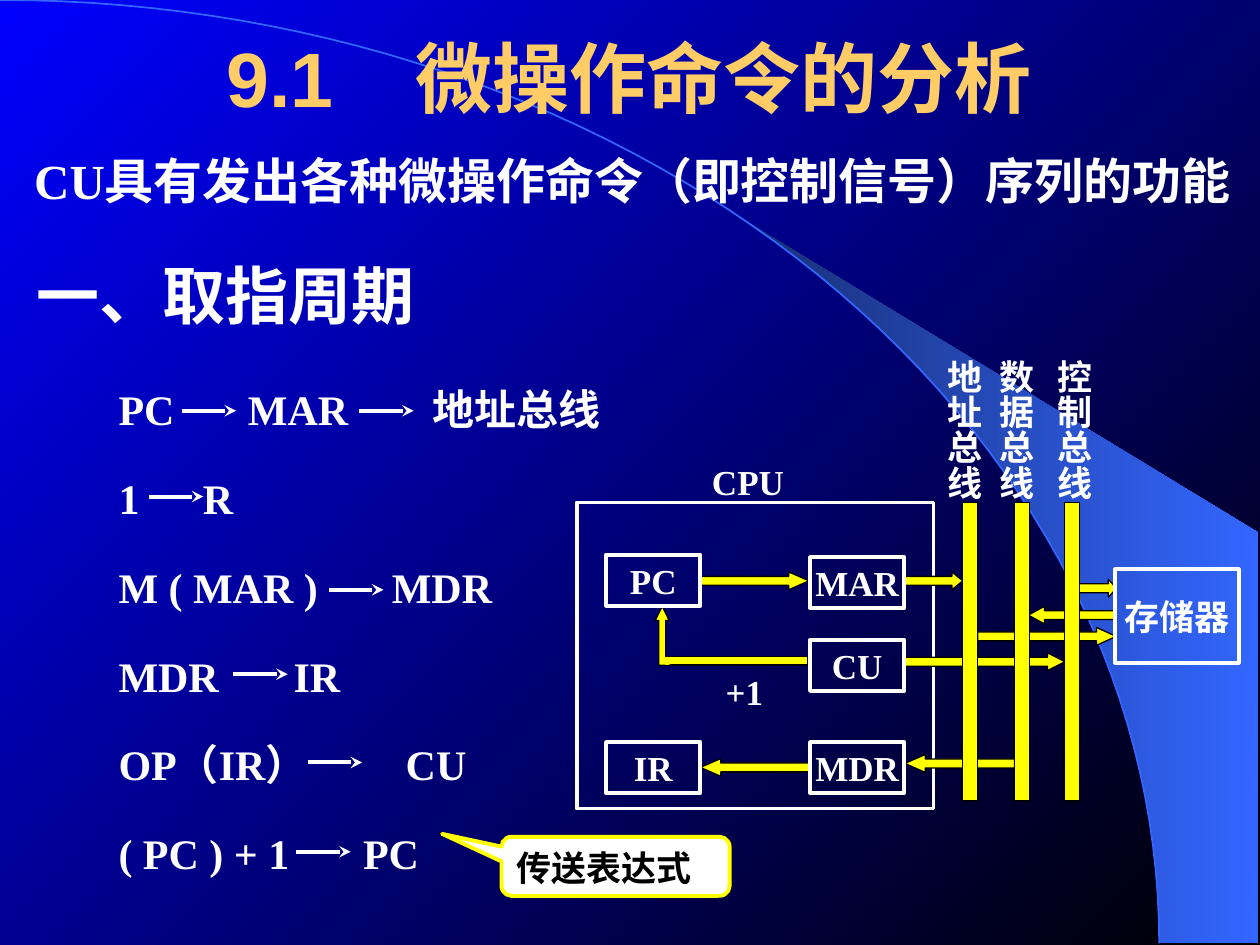
from math import cos, pi, sin

from lxml import etree
from pptx import Presentation
from pptx import util as u
from pptx.dml.color import RGBColor
from pptx.enum import shapes, text
from pptx.oxml import ns

WHITE, YELLOW, BLACK = "FFFFFF", "FFFF00", "000000"
SHAPE = shapes.MSO_SHAPE
MIDDLE, TOP = text.MSO_ANCHOR.MIDDLE, text.MSO_ANCHOR.TOP
LEFT, CENTER = text.PP_ALIGN.LEFT, text.PP_ALIGN.CENTER
INSET = (0.25, 0.13, 0.25, 0.13)

TITLE = "9.1\t微操作命令的分析"
INTRO = "CU具有发出各种微操作命令（即控制信号）序列的功能"
HEADING = "一、取指周期"

TRANSFERS = [
    ("PC\tMAR\t地址总线", [2.61, 6.33], [(3.66, 8.28), (7.24, 8.28)]),
    ("1\tR", [1.7], [(3, 10.01)]),
    ("M ( MAR )\tMDR", [5.51], [(6.63, 11.89)]),
    ("MDR\tIR", [3.53], [(4.7, 13.59)]),
    ("OP（IR）\tCU", [5.79], [(6.2, 15.37)]),
    ("( PC ) + 1\tPC", [4.93], [(5.97, 17.17)]),
]
ROW_LEFT, ROW_TOP, ROW_STEP = 2.39, 7.65, 1.79

LEFT_COL, RIGHT_COL = 12.22, 16.33
REGISTERS = [
    ("PC", LEFT_COL, 11.18), ("MAR", RIGHT_COL, 11.23), ("CU", RIGHT_COL, 12.9),
    ("IR", LEFT_COL, 14.96), ("MDR", RIGHT_COL, 14.96),
]
BUSES = [("地址总线", 19.41, 18.64), ("数据总线", 20.45, 19.69), ("控制总线", 21.46, 20.85)]
FLOWS = [
    (18.24, 11.53, 1.17, 0.61, 0),
    (14.12, 11.53, 2.19, 1.14, 0),
    (18.24, 15.21, 2.21, 1.14, 180),
    (18.24, 13.16, 3.23, 0.98, 0),
    (19.71, 12.65, 2.79, 1.09, 0),
    (20.73, 12.22, 1.75, 0.91, 180),
    (21.62, 11.68, 0.89, 0.46, 0),
    (14.12, 15.29, 2.19, 1.14, 180),
]

prs = Presentation()
prs.slide_width, prs.slide_height = u.Cm(25.4), u.Cm(19.05)
s = prs.slides.add_slide(prs.slide_layouts[6])


def color(value):
    return RGBColor.from_string(value)


def gradient(fill, first, last, angle):
    fill.gradient()
    fill.gradient_angle = angle
    for stop, value in zip(fill.gradient_stops, (first, last)):
        stop.color.rgb = color(value)


def write(sp, content, size, ink=WHITE, font="Times New Roman", align=LEFT,
          anchor=MIDDLE, insets=(0, 0, 0, 0), wrap=True, tabs=()):
    tf = sp.text_frame
    sides = ("margin_left", "margin_top", "margin_right", "margin_bottom")
    frame = dict(zip(sides, map(u.Cm, insets)), word_wrap=wrap, vertical_anchor=anchor)
    for name, value in frame.items():
        setattr(tf, name, value)
    p = tf.paragraphs[0]
    p.alignment = align
    if tabs:
        stops = etree.SubElement(p._p.get_or_add_pPr(), ns.qn("a:tabLst"))
        for tab in tabs:
            etree.SubElement(stops, ns.qn("a:tab"), pos=str(u.Cm(tab)), algn="l")
    r = p.add_run()
    r.text = content
    for name, value in {"name": font, "size": u.Pt(size), "bold": True}.items():
        setattr(r.font, name, value)
    r.font.color.rgb = color(ink)
    etree.SubElement(r._r.get_or_add_rPr(), ns.qn("a:ea"), typeface="Noto Sans CJK SC")


def label(box, content, size, **options):
    sp = s.shapes.add_textbox(*map(u.Cm, box))
    write(sp, content, size, **options)
    return sp


def outline(sp, line, width):
    sp.shadow.inherit = False
    sp.line.color.rgb = color(line)
    sp.line.width = u.Pt(width)


def block(kind, box, fill=YELLOW, line=BLACK, width=0.75, adjust=()):
    sp = s.shapes.add_shape(kind, *map(u.Cm, box))
    outline(sp, line, width)
    if fill:
        sp.fill.solid()
        sp.fill.fore_color.rgb = color(fill)
    else:
        sp.fill.background()
    for i, value in enumerate(adjust):
        sp.adjustments[i] = value
    return sp


def frame(box, content=None):
    sp = block(SHAPE.RECTANGLE, box, None, WHITE, 2.25)
    if content:
        write(sp, content, 20, align=CENTER, wrap=False)


def transfer_arrow(x, y):
    c = s.shapes.add_connector(shapes.MSO_CONNECTOR.STRAIGHT,
                               *map(u.Cm, (x, y, x + 1.1, y)))
    c.line.color.rgb = color(WHITE)
    c.line.width = u.Pt(2.25)
    etree.SubElement(c.line._get_or_add_ln(), ns.qn("a:tailEnd"), type="stealth")
    etree.SubElement(c._element.spPr, ns.qn("a:effectLst"))


def arc(start, steps=60):
    angles = [start + (pi / 2 - start) * i / steps for i in range(steps + 1)]
    return [(u.Cm(23.37 * sin(a)), u.Cm(19.02 * (1 - cos(a)))) for a in angles]


def polygon(points, close):
    builder = s.shapes.build_freeform(*points[0])
    builder.add_line_segments(points[1:], close=close)
    return builder.convert_to_shape()


gradient(s.background.fill, "0000FF", "000000", 315)

beam = polygon(arc(0.695) + [(u.Cm(25.37), u.Cm(19.02)), (u.Cm(25.37), u.Cm(10.74))], True)
beam.shadow.inherit = False
beam.line.fill.background()
gradient(beam.fill, "182F76", "3366FF", 0)

horizon = polygon(arc(0), False)
horizon.fill.background()
outline(horizon, "3366FF", 1)

label((4.57, -0.05, 18.92, 3.18), TITLE, 44, ink="FFCC66", font="Arial", tabs=[3.81])
label((0.69, 2.92, 24.7, 1.4), INTRO, 28)
label((0.74, 5.33, 11.33, 1.19), HEADING, 36)

for i, (content, tabs, arrows) in enumerate(TRANSFERS):
    label((ROW_LEFT, ROW_TOP + i * ROW_STEP, 11.99, 1.19), content, 24, tabs=tabs)
    for x, y in arrows:
        transfer_arrow(x, y)

frame((11.63, 10.13, 7.19, 6.17))
block(SHAPE.RECTANGLE, (13.36, 13.23, 2.92, 0.18))
block(SHAPE.UP_ARROW, (13.21, 12.22, 0.28, 1.19), adjust=(0.5, 1.03))
block(SHAPE.RECTANGLE, (13.41, 13.26, 0.08, 0.13), line=YELLOW)
for x, y, length, head, turn in FLOWS:
    sp = block(SHAPE.RIGHT_ARROW, (x, y, length, 0.36), adjust=(0.5, head))
    sp.rotation = turn

for name, x, y in REGISTERS:
    frame((x, y, 1.9, 1.03), name)
frame((22.48, 11.48, 2.49, 1.88), "存储器")

for name, x, label_x in BUSES:
    block(SHAPE.RECTANGLE, (x, 10.13, 0.3, 6.02))
    sp = label((label_x, 7.01, 1.35, 3.1), name, 20, anchor=TOP,
               insets=(0.13, 0.25, 0.13, 0.25), wrap=False)
    sp.text_frame._txBody.bodyPr.set("vert", "eaVert")

label((14.1, 9.14, 1.96, 1.12), "CPU", 20, align=CENTER, wrap=False)
label((14.38, 13.39, 3.07, 1.12), "+1", 20, insets=INSET)

callout = block(SHAPE.ROUNDED_RECTANGULAR_CALLOUT, (10.11, 16.87, 4.6, 1.19),
                WHITE, YELLOW, 2.25, (-0.76, -0.55, 0.17))
write(callout, "传送表达式", 20, ink=BLACK, font="Noto Sans CJK SC", anchor=TOP, insets=INSET)

prs.save("out.pptx")
